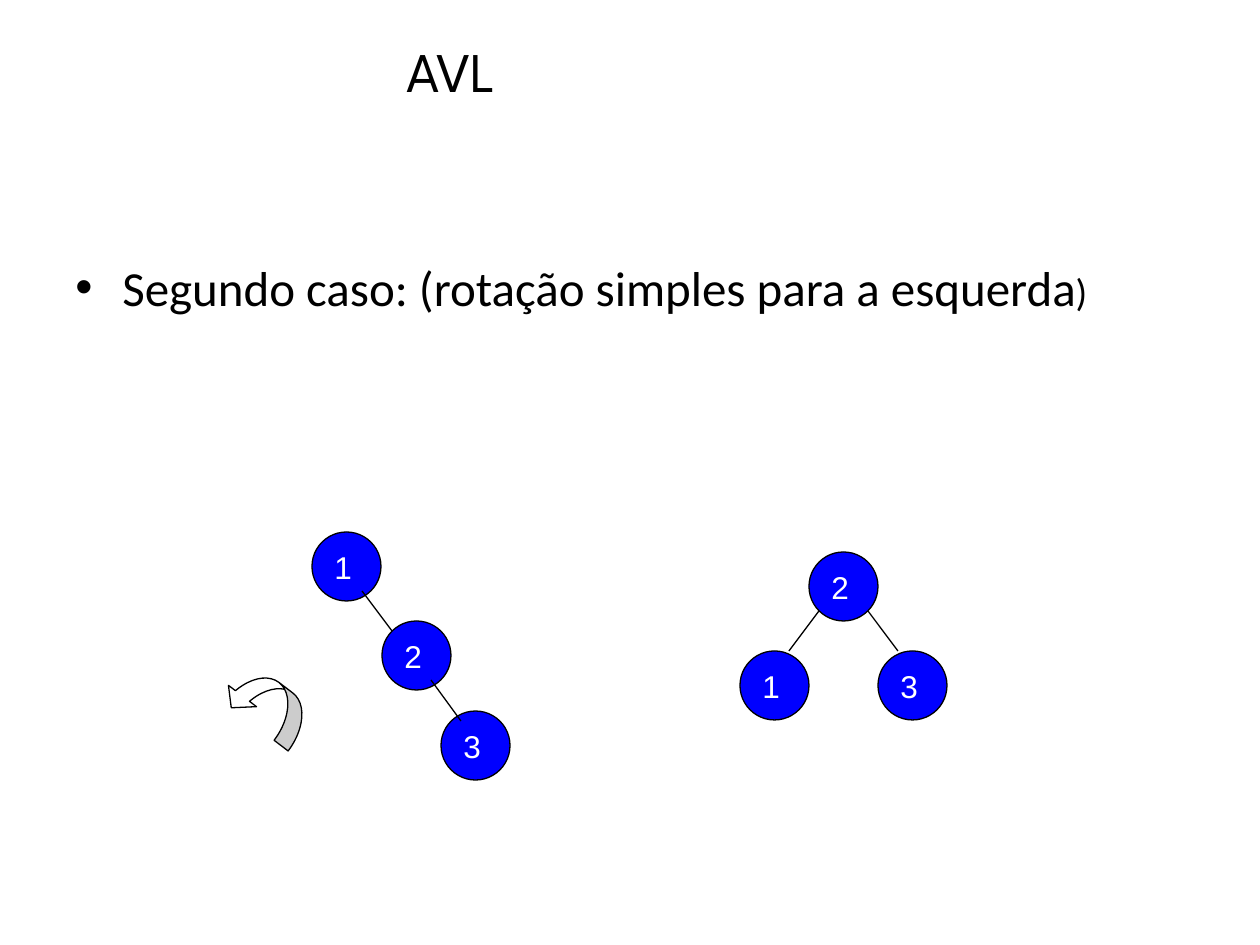
from dataclasses import dataclass

from lxml import etree
from pptx import Presentation
from pptx.dml.color import RGBColor
from pptx.enum.shapes import MSO_CONNECTOR, MSO_SHAPE
from pptx.enum.text import MSO_ANCHOR, PP_ALIGN
from pptx.oxml import parse_xml
from pptx.oxml.ns import nsdecls, qn
from pptx.util import Emu, Pt

OVAL = MSO_SHAPE.OVAL
CURVED_ARROW = MSO_SHAPE.CURVED_UP_ARROW
STRAIGHT = MSO_CONNECTOR.STRAIGHT
MIDDLE, BOTTOM = MSO_ANCHOR.MIDDLE, MSO_ANCHOR.BOTTOM
LEFT, CENTER = PP_ALIGN.LEFT, PP_ALIGN.CENTER

EMU_PER_PX = 914400 // 126
NODE_SIZE = 69
COLORS = {"text": "000000", "node": "0000FF", "label": "FFFFFF",
          "line": "000000", "arrow": "FFFFFF"}


@dataclass
class Node:
    label: str
    x: int
    y: int


@dataclass
class Edge:
    x1: int
    y1: int
    x2: int
    y2: int


@dataclass
class Tree:
    nodes: list[Node]
    edges: list[Edge]


TREES = [
    # Before the rotation
    Tree([Node("1", 312, 532), Node("2", 382, 621), Node("3", 441, 711)],
         [Edge(362, 591, 392, 631), Edge(431, 680, 461, 721)]),
    # After the rotation
    Tree([Node("2", 809, 552), Node("1", 740, 651), Node("3", 878, 651)],
         [Edge(789, 651, 819, 611), Edge(868, 611, 898, 651)]),
]


def px(*values: int) -> list[Emu]:
    return [Emu(v * EMU_PER_PX) for v in values]


def color(name: str) -> RGBColor:
    return RGBColor.from_string(COLORS[name])


def add_run(p, text: str, size: int, font: str, fill: str):
    r = p.add_run()
    r.text = text
    r.font.size = Pt(size)
    r.font.name = font
    r.font.color.rgb = color(fill)
    return r


def style_line(line) -> None:
    line.color.rgb = color("line")
    line.width = Pt(0.75)


def style_shape(sp, fill: str) -> None:
    sp.shadow.inherit = False
    sp.fill.solid()
    sp.fill.fore_color.rgb = color(fill)
    style_line(sp.line)


def add_node(shapes, node: Node) -> None:
    sp = shapes.add_shape(OVAL, *px(node.x, node.y, NODE_SIZE, NODE_SIZE))
    style_shape(sp, "node")
    tf = sp.text_frame
    tf.word_wrap = False
    tf.vertical_anchor = MIDDLE
    p = tf.paragraphs[0]
    p.alignment = LEFT
    add_run(p, node.label, 18, "Arial", "label")


def add_edge(shapes, edge: Edge) -> None:
    line = shapes.add_connector(STRAIGHT, *px(edge.x1, edge.y1, edge.x2, edge.y2))
    style_line(line.line)
    etree.SubElement(line._element.spPr, qn("a:effectLst"))


def add_tree(s, tree: Tree) -> None:
    shapes = s.shapes.add_group_shape().shapes
    for node in tree.nodes:
        add_node(shapes, node)
    for edge in tree.edges:
        add_edge(shapes, edge)


def add_title(s, text: str) -> None:
    sp = s.shapes.title
    sp.left, sp.top, sp.width, sp.height = px(0, 4, 903, 106)
    tf = sp.text_frame
    tf.vertical_anchor = BOTTOM
    p = tf.paragraphs[0]
    p.alignment = CENTER
    r = add_run(p, text, 32, "League Spartan", "text")
    # Text shadow goes right after the fill
    shadow = parse_xml(
        f'<a:effectLst {nsdecls("a")}>'
        '<a:outerShdw blurRad="38100" dist="38100" dir="2700000" algn="tl">'
        '<a:srgbClr val="000000"><a:alpha val="43000"/></a:srgbClr>'
        '</a:outerShdw></a:effectLst>')
    r.font._element.find(qn("a:solidFill")).addnext(shadow)


def add_bullet_text(s) -> None:
    tf = s.shapes.add_textbox(*px(63, 251, 1166, 174)).text_frame
    tf.word_wrap = True
    p = tf.paragraphs[0]
    pPr = p._p.get_or_add_pPr()
    indent = px(47)[0]
    pPr.set("marL", str(indent))
    pPr.set("indent", str(-indent))
    etree.SubElement(pPr, qn("a:buFont"), typeface="Arial")
    etree.SubElement(pPr, qn("a:buChar"), char="•")
    add_run(p, "Segundo caso: (rotação simples para a esquerda", 28, "Calibri", "text")
    add_run(p, ")", 22, "Calibri", "text")


def add_rotation_arrow(s) -> None:
    sp = s.shapes.add_shape(CURVED_ARROW, *px(223, 680, 89, 49))
    style_shape(sp, "arrow")
    sp.rotation = 217.2
    for i, value in enumerate((0.36, 0.72, 0.33)):
        sp.adjustments[i] = value


def main() -> None:
    prs = Presentation()
    prs.slide_width, prs.slide_height = px(1260, 945)
    s = prs.slides.add_slide(prs.slide_layouts[5])

    add_title(s, "AVL")
    add_bullet_text(s)
    before, after = TREES
    add_tree(s, before)
    add_rotation_arrow(s)
    add_tree(s, after)

    prs.save("out.pptx")


if __name__ == "__main__":
    main()
